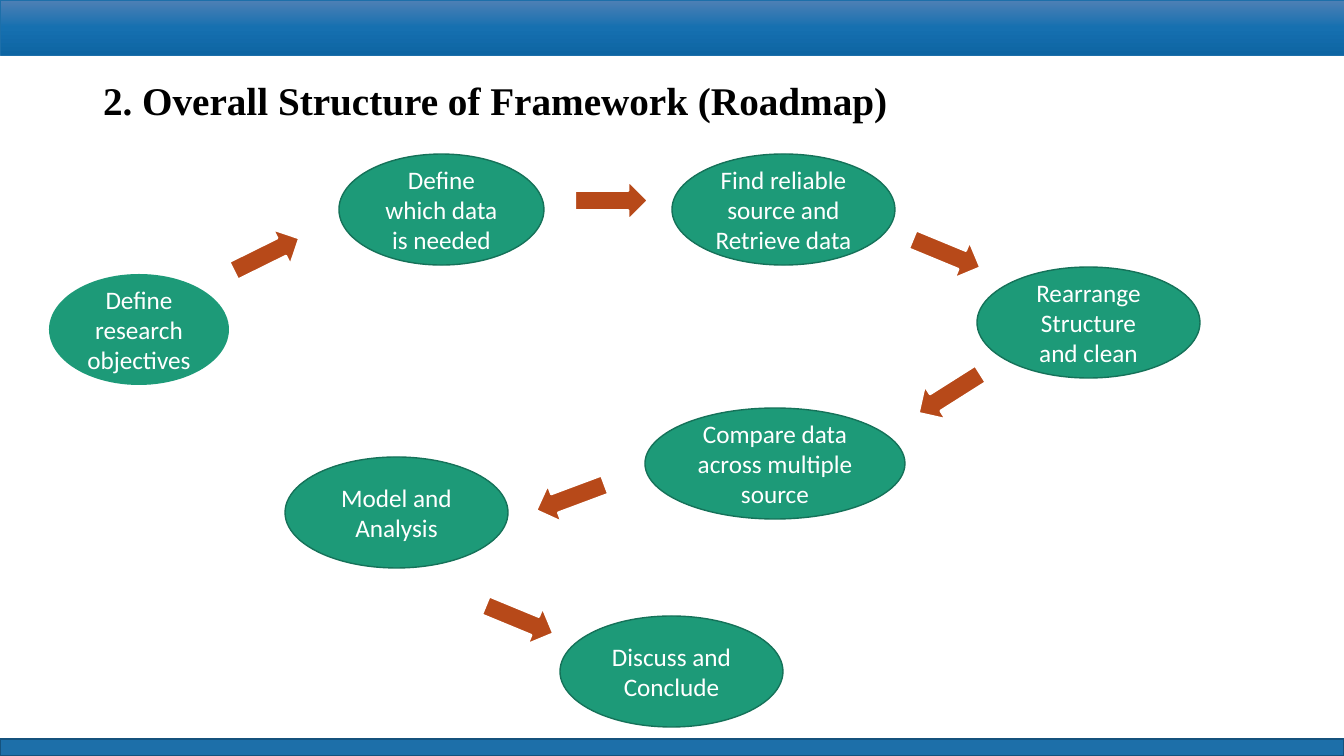
from copy import deepcopy

from pptx import Presentation
from pptx import util as u
from pptx.dml.color import RGBColor
from pptx.enum import shapes, text
from pptx.oxml.ns import qn

PX = 9071.43  # EMU in one px
WHITE = RGBColor(0xFF, 0xFF, 0xFF)
BLACK = RGBColor(0x00, 0x00, 0x00)
BLUE = RGBColor(0x1D, 0x6F, 0xA9)
NAVY = RGBColor(0x15, 0x52, 0x7D)
GREEN = RGBColor(0x1D, 0x9A, 0x78)
PINE = RGBColor(0x15, 0x72, 0x59)
RUST = RGBColor(0xB7, 0x49, 0x19)
SHADES = [
    (0, RGBColor(0x4E, 0x80, 0xB5)),
    (0.5, RGBColor(0x16, 0x70, 0xB0)),
    (1, RGBColor(0x0D, 0x65, 0xA3)),
]
KIND = shapes.MSO_SHAPE


def px(*sizes):
    return [u.Emu(round(size * PX)) for size in sizes]


def draw(kind, box, fill, line, weight):
    """Add a preset shape; a line of None means no outline."""
    shape = slide.shapes.add_shape(kind, *px(*box))
    shape.shadow.inherit = False
    shape.fill.solid()
    shape.fill.fore_color.rgb = fill
    if line is None:
        shape.line.fill.background()
    else:
        shape.line.color.rgb = line
        shape.line.width = u.Pt(weight)
    return shape


deck = Presentation()
deck.slide_width, deck.slide_height = px(1344, 756)
slide = deck.slides.add_slide(deck.slide_layouts[5])

# Bands along the top and bottom
band = draw(KIND.RECTANGLE, (0, 0, 1344, 55), BLUE, BLUE, 0.5)
band.fill.gradient()
band.fill.gradient_angle = 270
stops = band._element.spPr.find(qn("a:gradFill")).find(qn("a:gsLst"))
stops.append(deepcopy(stops[0]))
for stop, (place, shade) in zip(band.fill.gradient_stops, SHADES):
    stop.position = place
    stop.color.rgb = shade
draw(KIND.RECTANGLE, (0, 739, 1344, 17), BLUE, NAVY, 1)

# Title
title = slide.shapes.title
title.left, title.top, title.width, title.height = px(93, 71, 834, 57)
frame = title.text_frame
frame.text = "2. Overall Structure of Framework (Roadmap)"
frame.auto_size = text.MSO_AUTO_SIZE.NONE
frame.vertical_anchor = text.MSO_ANCHOR.TOP
head = frame.paragraphs[0]
head.alignment = text.PP_ALIGN.LEFT
head.font.name = "Times New Roman"
head.font.size = u.Pt(28)
head.font.bold = True
head.font.color.rgb = BLACK

# Steps: left, top, width, outline, label
STEPS = [
    (49, 274, 180, None, "Define research objectives"),
    (339, 154, 205, PINE, "Define which data is needed"),
    (672, 154, 223, PINE, "Find reliable source and Retrieve data"),
    (977, 267, 223, PINE, "Rearrange Structure and clean"),
    (645, 408, 260, PINE, "Compare data across multiple source"),
    (285, 457, 223, PINE, "Model and Analysis"),
    (560, 616, 223, PINE, "Discuss and Conclude"),
]
for left, top, width, line, label in STEPS:
    step = draw(KIND.OVAL, (left, top, width, 111), GREEN, line, 1)
    frame = step.text_frame
    frame.text = label
    frame.word_wrap = True
    frame.vertical_anchor = text.MSO_ANCHOR.MIDDLE
    para = frame.paragraphs[0]
    para.alignment = text.PP_ALIGN.CENTER
    para.font.name = "Calibri"
    para.font.size = u.Pt(18)
    para.font.color.rgb = WHITE

# Arrows: left, top, turn in degrees
ARROWS = [
    (230, 235, 333.7),
    (575, 181, 0),
    (910, 234, 22.4),
    (913, 374, 147.7),
    (534, 478, 159.5),
    (483, 600, 22.4),
]
for left, top, turn in ARROWS:
    arrow = draw(KIND.RIGHT_ARROW, (left, top, 73, 39), RUST, WHITE, 1.5)
    arrow.rotation = turn

deck.save("out.pptx")
